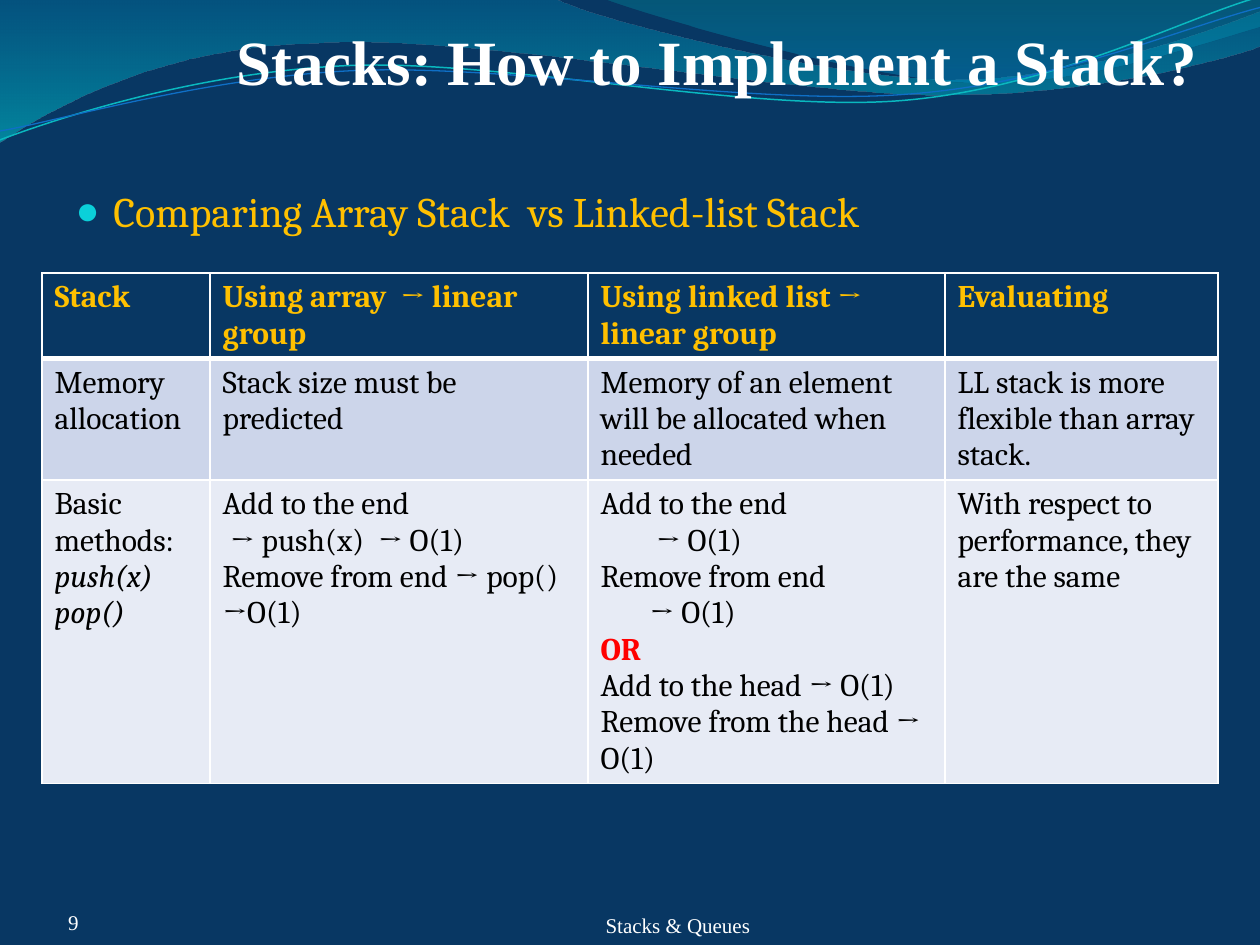
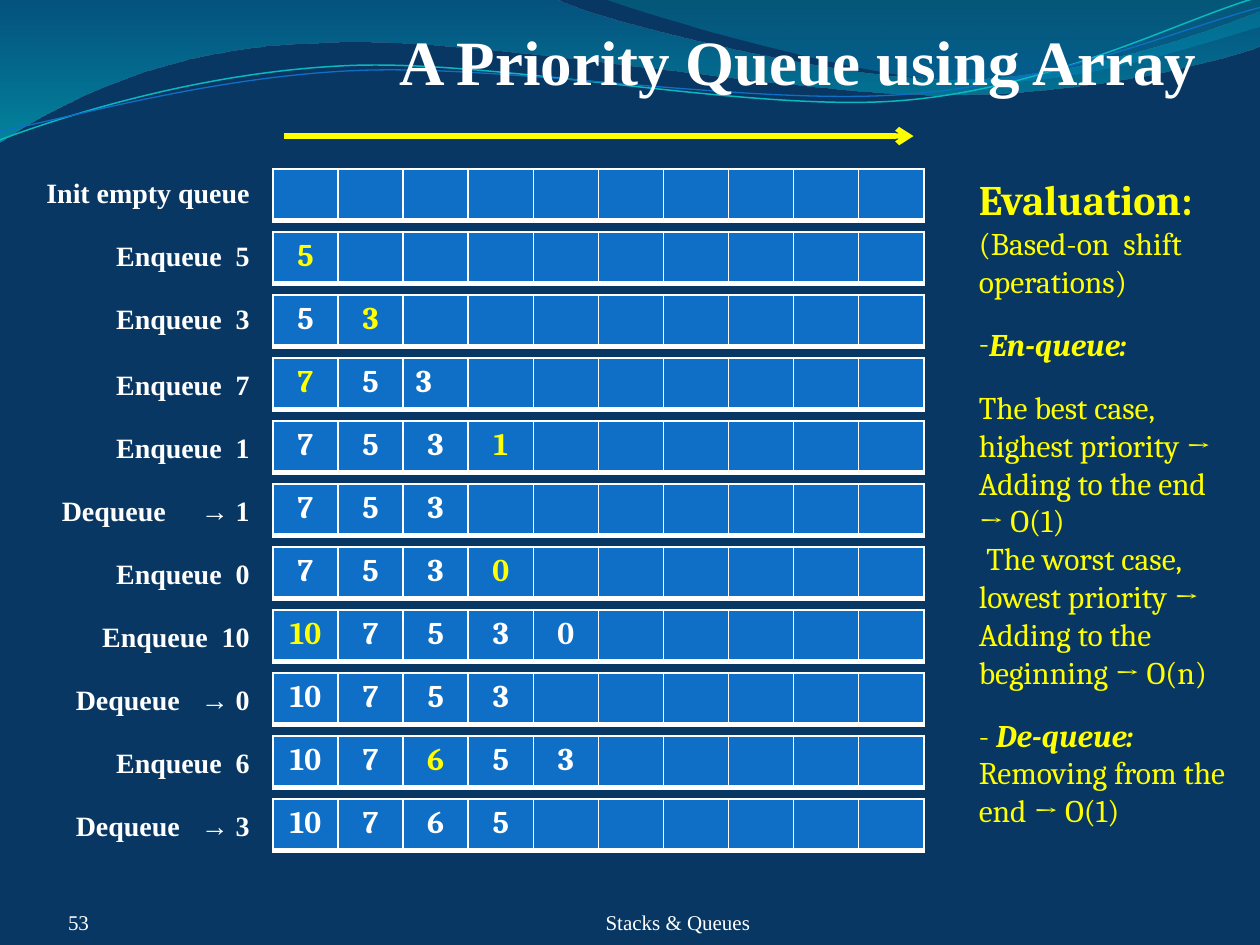
from dataclasses import dataclass, replace
from math import cos, radians, sin
from lxml.etree import SubElement
from pptx import Presentation
from pptx.dml.color import RGBColor
from pptx.enum.shapes import MSO_CONNECTOR
from pptx.enum.text import MSO_ANCHOR, MSO_AUTO_SIZE, PP_ALIGN
from pptx.oxml.ns import qn
from pptx.util import Inches, Pt


@dataclass(frozen=True)
class Style:
    size: float
    font: str
    color: str
    bold: bool = False
    italic: bool = False


@dataclass(frozen=True)
class Theme:
    navy: str = "083763"
    blue: str = "0F6FC6"
    teal: str = "0AB8BF"
    bullet: str = "0BD0D9"
    white: str = "FFFFFF"
    yellow: str = "FFFF00"
    bands: tuple = ("CCD5EA", "E7EBF5")
    title: Style = Style(36, "Times New Roman", "FFFFFF", bold=True)
    footer: Style = Style(12, "Times New Roman", "FFFFFF")
    label: Style = Style(16, "Times New Roman", "FFFFFF", bold=True)
    lead: Style = Style(24, "Cambria", "FFC000")
    header: Style = Style(18, "Cambria", "FFC000", bold=True)
    cell: Style = Style(18, "Cambria", "000000")
    queue: Style = Style(18, "Cambria", "FFFFFF", bold=True)
    note: Style = Style(18, "Cambria", "FFFF00")


THEME = Theme()


@dataclass(frozen=True)
class Line:
    """One paragraph: spans are (text, style) pairs; indents are inches."""
    spans: tuple
    align: PP_ALIGN = PP_ALIGN.LEFT
    before: float = 0
    margin: float = 0
    first: float = 0
    bullet: str = ""


def line(text, style, **options):
    return Line(((text, style),), **options)


# Text helpers

def format_span(span, style):
    span.font.size = Pt(style.size)
    span.font.name = style.font
    span.font.bold = style.bold
    span.font.italic = style.italic
    span.font.color.rgb = RGBColor.from_string(style.color)


def write(frame, lines):
    for index, item in enumerate(lines):
        para = frame.paragraphs[0] if index == 0 else frame.add_paragraph()
        para.alignment = item.align
        para.space_before = Pt(item.before)
        properties = para._p.get_or_add_pPr()
        properties.set("marL", str(Inches(item.margin)))
        properties.set("indent", str(Inches(item.first)))
        if item.bullet:
            font = item.spans[0][1].font
            SubElement(properties, qn("a:buFont")).set("typeface", font)
            SubElement(properties, qn("a:buChar")).set("char", item.bullet)
        for text, style in item.spans:
            span = para.add_run()
            span.text = text
            format_span(span, style)


def prepare(shape, box, anchor=MSO_ANCHOR.TOP, insets=(0.1, 0.05, 0.1, 0.05)):
    shape.left, shape.top, shape.width, shape.height = map(Inches, box)
    frame = shape.text_frame
    frame.word_wrap = True
    frame.auto_size = MSO_AUTO_SIZE.NONE
    frame.vertical_anchor = anchor
    (frame.margin_left, frame.margin_top,
     frame.margin_right, frame.margin_bottom) = map(Inches, insets)
    return frame


def add_text(page, box, lines, **options):
    shape = page.shapes.add_textbox(*map(Inches, box))
    write(prepare(shape, box, **options), lines)


# Table helpers

def style_cell(cell, fill, top=1, bottom=1):
    properties = cell._tc.get_or_add_tcPr()
    for side, width in (("L", 1), ("R", 1), ("T", top), ("B", bottom)):
        border = SubElement(properties, qn(f"a:ln{side}"))
        border.set("w", str(Pt(width)))
        color = SubElement(SubElement(border, qn("a:solidFill")), qn("a:srgbClr"))
        color.set("val", THEME.white)
    cell.fill.solid()
    cell.fill.fore_color.rgb = RGBColor.from_string(fill)


# Shared wave band: two-number steps are lines, six-number steps are curves

BANDS = (
    ([(0, 0), (4.4, -0.01), (4.76, 0.17, 6.64, 0.63, 7.58, 0.63),
      (8.53, 0.63, 9.58, 0.26, 10, 0.09), (10.01, 0.36),
      (9.83, 0.44, 8.7, 0.76, 7.46, 0.75), (6.22, 0.75, 3.82, 0.28, 2.57, 0.34),
      (1.29, 0.36, 0.46, 0.83, -0.01, 1.13), (0, 0)],
     ((0, "0074A1", 45), (1, "00C6CF", 55))),
    ([(4.79, -0.01), (5.09, 0.11, 6.82, 0.62, 7.69, 0.65),
      (8.56, 0.69, 9.61, 0.32, 10, 0.21), (10, 0), (4.79, -0.01)],
     ((0, "00A1A9", 30), (0.8, "008BBF", 45))),
)
STRANDS = (
    ([(0, 1.11), (0.48, 0.93, 1.58, 0.57, 2.77, 0.52),
      (3.95, 0.47, 5.93, 0.89, 7.13, 0.8), (8.33, 0.71, 9.38, 0.15, 9.98, -0.02)],
     (4.99, 0.58), THEME.teal, 0.85),
    ([(0, 1.04), (0.47, 0.96, 1.64, 0.61, 2.83, 0.56),
      (4.03, 0.51, 5.97, 0.84, 7.17, 0.75), (8.36, 0.67, 9.41, 0.21, 10, 0.06)],
     (5, 0.59), THEME.blue, 0.75),
)
STRAND_TILT = 2.7


def turn(step, center, degrees):
    """Turns every point of a step clockwise about the center."""
    c, s = cos(radians(degrees)), sin(radians(degrees))
    turned = []
    for x, y in zip(step[::2], step[1::2]):
        dx, dy = x - center[0], y - center[1]
        turned += [center[0] + dx * c - dy * s, center[1] + dx * s + dy * c]
    return tuple(turned)


def add_outline(page, steps, close):
    """Lays all points as lines, then joins each three of a curve into one."""
    builder = page.shapes.build_freeform(*map(Inches, steps[0]))
    for step in steps[1:]:
        points = zip(map(Inches, step[::2]), map(Inches, step[1::2]))
        builder.add_line_segments(list(points), close=False)
    shape = builder.convert_to_shape()
    shape.shadow.inherit = False
    outline = next(shape.element.iter(qn("a:path")))
    segments = iter(outline.findall(qn("a:lnTo")))
    for step in steps[1:]:
        segment = next(segments)
        if len(step) == 6:
            segment_points = [segment, next(segments), next(segments)]
            curve = SubElement(outline, qn("a:cubicBezTo"))
            segment.addprevious(curve)
            for part in segment_points:
                curve.append(part[0])
                outline.remove(part)
    if close:
        SubElement(outline, qn("a:close"))
    return shape


def add_waves(deck, page):
    """Draws the waves and moves them behind everything on the master."""
    waves = []
    for steps, stops in BANDS:
        band = add_outline(page, steps, close=True)
        band.line.fill.background()
        band.fill.gradient()
        band.fill.gradient_angle = 270
        for stop, (position, color, _) in zip(band.fill.gradient_stops, stops):
            stop.position = position
            stop.color.rgb = RGBColor.from_string(color)
        for color, (_, _, opacity) in zip(band.element.iter(qn("a:srgbClr")), stops):
            SubElement(color, qn("a:alpha")).set("val", str(opacity * 1000))
        waves.append(band)
    for steps, center, color, width in STRANDS:
        level = [turn(step, center, STRAND_TILT) for step in steps]
        strand = add_outline(page, level, close=False)
        strand.rotation = 360 - STRAND_TILT
        strand.fill.background()
        strand.line.color.rgb = RGBColor.from_string(color)
        strand.line.width = Pt(width)
        waves.append(strand)
    for index, wave in enumerate(waves):
        wave.element.nvSpPr.cNvPr.set("id", str(100 + index))
        deck.slide_master.shapes.element.insert(2 + index, wave.element)


def add_page(deck, layout, title, number, footer_top):
    page = deck.slides.add_slide(deck.slide_layouts[layout])
    frame = prepare(page.shapes.title, (0.5, 0.08, 9, 0.7),
                    MSO_ANCHOR.BOTTOM, (0, 0.05, 0, 0))
    write(frame, [line(title, THEME.title, align=PP_ALIGN.RIGHT)])
    flush = {"anchor": MSO_ANCHOR.BOTTOM, "insets": (0, 0, 0, 0)}
    add_text(page, (0.5, 7.17, 1, 0.25), [line(number, THEME.footer, first=0.04)], **flush)
    add_text(page, (2.92, footer_top, 4.92, 0.27),
             [line("Stacks & Queues", THEME.footer, align=PP_ALIGN.CENTER)], **flush)
    return page


# Stack comparison slide

def add_lead(page, box, text):
    frame = prepare(page.placeholders[1], box)
    write(frame, [line(text, THEME.lead, before=4.8, margin=0.3, first=-0.3)])
    properties = frame.paragraphs[0]._p.get_or_add_pPr()
    color = SubElement(SubElement(properties, qn("a:buClr")), qn("a:srgbClr"))
    color.set("val", THEME.bullet)
    SubElement(properties, qn("a:buSzPct")).set("val", "95000")
    SubElement(properties, qn("a:buChar")).set("char", "●")


def add_comparison(page, box):
    def plain(*texts):
        return [line(text, THEME.cell) for text in texts]

    def indented(text, margin):
        return line(text, THEME.cell, margin=margin)

    method = replace(THEME.cell, italic=True)
    either = replace(THEME.cell, color="FF0000", bold=True)
    headings = ("Stack", "Using array  → linear group",
                "Using linked list → linear group", "Evaluating")
    rows = [
        [[line(text, THEME.header)] for text in headings],
        [plain("Memory", "allocation"),
         plain("Stack size must be predicted"),
         plain("Memory of an element will be allocated when needed"),
         plain("LL stack is more flexible than array stack.")],
        [plain("Basic methods:") + [line("push(x)", method), line("pop()", method)],
         plain("Add to the end") + [indented("→ push(x)  → O(1)", 0.06)]
         + plain("Remove from end → pop() →O(1)"),
         plain("Add to the end") + [indented("→ O(1)", 0.44)]
         + plain("Remove from end") + [indented("→ O(1)", 0.39), line("OR", either)]
         + plain("Add to the head → O(1)", "Remove from the head → O(1)"),
         plain("With respect to performance, they are the same")],
    ]
    table = page.shapes.add_table(len(rows), 4, *map(Inches, box)).table
    for column, width in zip(table.columns, (4 / 3, 3, 17 / 6, 13 / 6)):
        column.width = Inches(width)
    fills = (THEME.navy, *THEME.bands)
    for r, row in enumerate(rows):
        for c, lines in enumerate(row):
            cell = table.cell(r, c)
            style_cell(cell, fills[r], top=3 if r == 1 else 1, bottom=3 if r == 0 else 1)
            write(cell.text_frame, lines)


# Priority queue slide

OPERATIONS = (("Enqueue", 5), ("Enqueue", 3), ("Enqueue", 7), ("Enqueue", 1),
              ("Dequeue", 1), ("Enqueue", 0), ("Enqueue", 10), ("Dequeue", 0),
              ("Enqueue", 6), ("Dequeue", 3))


def add_queue_row(page, box, queue, added, left_column):
    table = page.shapes.add_table(1, 10, *map(Inches, box)).table
    for column in range(10):
        cell = table.cell(0, column)
        style_cell(cell, THEME.blue, bottom=3)
        if column < len(queue):
            value = queue[column]
            color = THEME.yellow if value == added else THEME.white
            align = PP_ALIGN.LEFT if column == left_column else PP_ALIGN.CENTER
            write(cell.text_frame,
                  [line(str(value), replace(THEME.queue, color=color), align=align)])


def add_queue_states(page, box, pitch):
    """Keeps the queue sorted downwards; dequeuing takes its last value."""
    left, top, width, height = box
    queue = []
    add_queue_row(page, box, queue, None, None)
    for step, (action, value) in enumerate(OPERATIONS, start=1):
        if action == "Enqueue":
            queue = sorted(queue + [value], reverse=True)
        else:
            queue = queue[:-1]
        added = value if action == "Enqueue" else None
        add_queue_row(page, (left, top + step * pitch, width, height), queue,
                      added, 2 if step == 3 else None)


def add_step_labels(page, box):
    frame = prepare(page.shapes.add_textbox(*map(Inches, box)), box)
    style = THEME.label
    lines = [line("Init empty queue", style, align=PP_ALIGN.RIGHT)]
    for step, (action, value) in enumerate(OPERATIONS, start=1):
        before = 18.8 if step == 3 else 16.8
        if action == "Enqueue":
            spans = ((f"{action}  {value}", style),)
        else:
            spans = ((action, style), (" ", style), (f"→ {value}", style))
        lines.append(Line(spans, PP_ALIGN.RIGHT, before=before))
    write(frame, lines)
    # Widen the gap between Dequeue and its result by letter spacing
    for step, (action, _) in enumerate(OPERATIONS, start=1):
        if action == "Dequeue":
            gap = 16 if step == 5 else 8
            span = frame.paragraphs[step].runs[1]
            span._r.get_or_add_rPr().set("spc", str(gap * 100))


def add_evaluation(page, box):
    note = THEME.note
    strong = replace(note, bold=True, italic=True)
    gap = 14.4
    add_text(page, box, [
        line("Evaluation:", replace(note, size=24, bold=True)),
        line("(Based-on  shift operations)", note),
        line("En-queue:", strong, bullet="-", before=gap),
        line("The best case, highest priority → Adding to the end → O(1)", note, before=gap),
        line("The worst case, lowest priority → Adding to the beginning → O(n)",
             note, first=0.06),
        Line((("- ", note), ("De-queue: ", strong),
              ("Removing from the end → O(1)", note)), before=gap),
    ])


def add_direction_arrow(page, left, right, y):
    arrow = page.shapes.add_connector(MSO_CONNECTOR.STRAIGHT, Inches(left), Inches(y),
                                      Inches(right), Inches(y))
    arrow.line.color.rgb = RGBColor.from_string(THEME.yellow)
    arrow.line.width = Pt(3)
    SubElement(arrow.line._get_or_add_ln(), qn("a:tailEnd")).set("type", "arrow")
    SubElement(arrow.element.spPr, qn("a:effectLst"))


def main():
    deck = Presentation()
    deck.slide_width, deck.slide_height = Inches(10), Inches(7.5)
    backdrop = deck.slide_master.background.fill
    backdrop.solid()
    backdrop.fore_color.rgb = RGBColor.from_string(THEME.navy)

    page = add_page(deck, 1, "Stacks: How to Implement a Stack?", "9", 7.17)
    add_waves(deck, page)
    add_lead(page, (0.5, 1.42, 9, 0.58), "Comparing Array Stack  vs Linked-list Stack")
    add_comparison(page, (1 / 3, 13 / 6, 28 / 3, 1.23))

    page = add_page(deck, 5, "A Priority Queue using Array", "53", 7.15)
    add_queue_states(page, (13 / 6, 1.34, 31 / 6, 0.41), pitch=0.5)
    add_step_labels(page, (0, 1.34, 2.08, 5.72))
    add_direction_arrow(page, 2.25, 7.25, 1.08)
    add_evaluation(page, (7.67, 1.33, 2.17, 5.72))
    deck.save("out.pptx")


if __name__ == "__main__":
    main()
